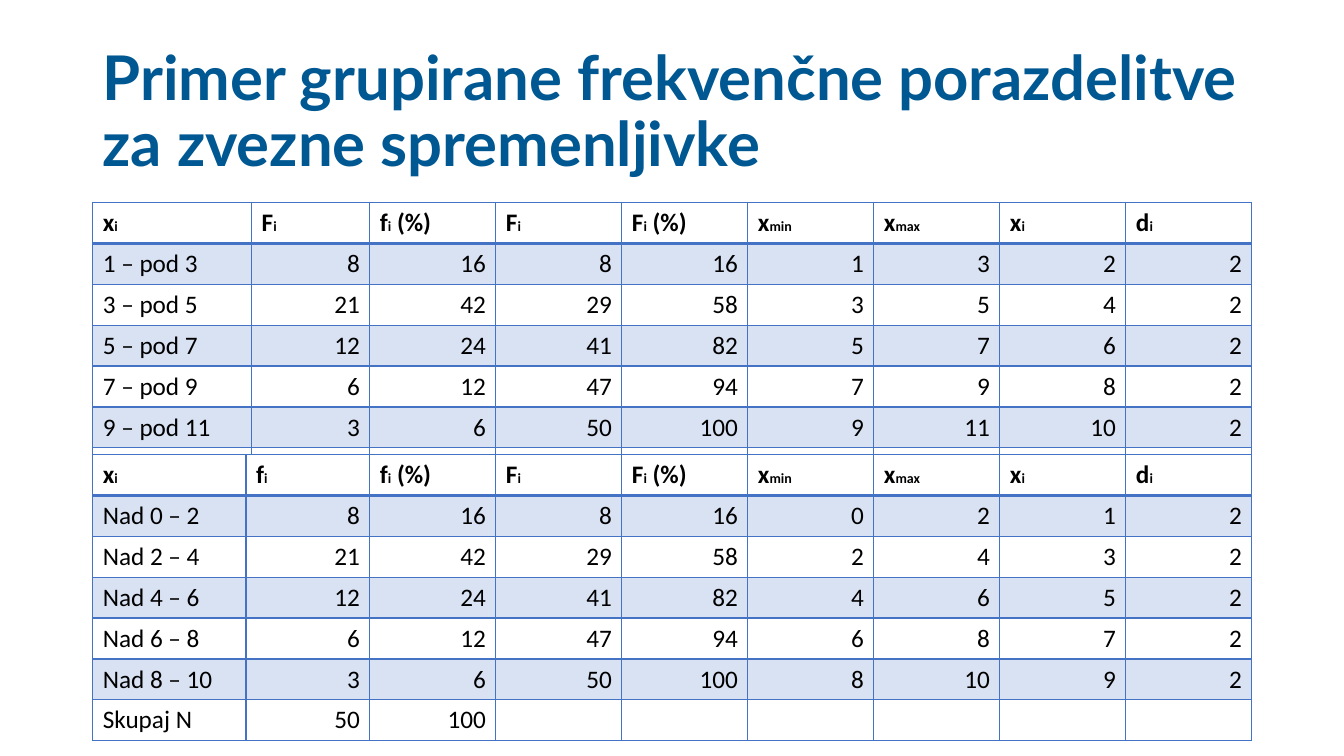
from itertools import accumulate

from lxml.etree import SubElement
from pptx import Presentation
from pptx.dml.color import RGBColor
from pptx.enum.text import MSO_ANCHOR, PP_ALIGN
from pptx.oxml.ns import qn
from pptx.util import Pt

TITLE = "Primer grupirane frekvenčne porazdelitve za zvezne spremenljivke"
LEFT, WIDTH = 66.24, 828
ROW_HEIGHT = 29.2
COUNTS = [8, 21, 12, 6, 3]
CLASS_WIDTH = 2

BLUE = "4472C4"
WHITE = "FFFFFF"
TITLE_FONT = {"name": "Lato", "size": Pt(44), "bold": True}
BODY_FONT = {"name": "Calibri", "size": Pt(18), "bold": False}
HEAD_FONT = {**BODY_FONT, "bold": True}
INDEX_FONT = {**HEAD_FONT, "size": Pt(10)}


def color(value):
    return RGBColor.from_string(value)


def add_run(paragraph, text, font_format, font_color="000000"):
    run = paragraph.add_run()
    run.text = text
    for name, value in font_format.items():
        setattr(run.font, name, value)
    run.font.color.rgb = color(font_color)


def add_title(slide):
    shape = slide.shapes.add_textbox(Pt(LEFT), Pt(28.8), Pt(WIDTH), Pt(104.4))
    frame = shape.text_frame
    frame.word_wrap = True
    frame.vertical_anchor = MSO_ANCHOR.MIDDLE
    paragraph = frame.paragraphs[0]
    paragraph.line_spacing = 0.9
    add_run(paragraph, TITLE, TITLE_FONT, "005892")


def set_borders(cell, top=1, bottom=1):
    properties = cell._tc.get_or_add_tcPr()
    widths = {"a:lnL": 1, "a:lnR": 1, "a:lnT": top, "a:lnB": bottom}
    for tag, width in widths.items():
        line = SubElement(properties, qn(tag), w=str(Pt(width)))
        fill = SubElement(line, qn("a:solidFill"))
        SubElement(fill, qn("a:srgbClr"), val=BLUE)


def set_fill(cell, value=None, opacity=100):
    if value is None:
        cell.fill.background()
        return
    cell.fill.solid()
    cell.fill.fore_color.rgb = color(value)
    if opacity < 100:
        # The direct child is the cell fill; the borders hold their own fills
        fill = cell._tc.tcPr.find(qn("a:solidFill"))
        rgb = fill.find(qn("a:srgbClr"))
        SubElement(rgb, qn("a:alpha"), val=str(opacity * 1000))


def write_heading(cell, symbol, index, unit=""):
    paragraph = cell.text_frame.paragraphs[0]
    add_run(paragraph, symbol, HEAD_FONT)
    add_run(paragraph, index, INDEX_FONT)
    if unit:
        add_run(paragraph, unit, HEAD_FONT)


def write_value(cell, value, column):
    paragraph = cell.text_frame.paragraphs[0]
    if column:
        paragraph.alignment = PP_ALIGN.RIGHT
    add_run(paragraph, str(value), BODY_FONT)


def frequency_rows(label, start):
    """Class label, counts, shares, cumulative values, limits, middle, width."""
    total = sum(COUNTS)
    rows = []
    for number, (count, running) in enumerate(zip(COUNTS, accumulate(COUNTS))):
        low = start + number * CLASS_WIDTH
        high = low + CLASS_WIDTH
        rows.append([label.format(low, high),
                     count, count * 100 // total,
                     running, running * 100 // total,
                     low, high, (low + high) // 2, CLASS_WIDTH])
    return rows


def add_frequency_table(slide, top, first_widths, count_symbol, rows, plain_fill):
    headings = [("x", "i"), (count_symbol, "i"), ("f", "i", " (%)"),
                ("F", "i"), ("F", "i", " (%)"), ("x", "min"),
                ("x", "max"), ("x", "i"), ("d", "i")]
    row_count = len(rows) + 1
    table = slide.shapes.add_table(
        row_count, len(headings), Pt(LEFT), Pt(top),
        Pt(WIDTH), Pt(row_count * ROW_HEIGHT)).table
    table.first_row = table.horz_banding = False

    # Grid
    for column, width in zip(table.columns, first_widths + [90] * 7):
        column.width = Pt(width)
    for row in table.rows:
        row.height = Pt(ROW_HEIGHT)

    # Borders and bands
    for row_number, row in enumerate(table.rows):
        for cell in row.cells:
            set_borders(cell, top=2 if row_number == 1 else 1,
                        bottom=2 if row_number == 0 else 1)
            if row_number % 2:
                set_fill(cell, BLUE, 20)
            elif row_number in (0, row_count - 1):
                set_fill(cell, plain_fill)
            else:
                set_fill(cell)

    # Wording and values
    for column, heading in enumerate(headings):
        write_heading(table.cell(0, column), *heading)
    for row_number, values in enumerate(rows, start=1):
        for column, value in enumerate(values):
            write_value(table.cell(row_number, column), value, column)


def main():
    presentation = Presentation()
    presentation.slide_width = Pt(960)
    presentation.slide_height = Pt(540)
    slide = presentation.slides.add_slide(presentation.slide_layouts[6])

    add_title(slide)
    # Classes closed below, ending in an empty row
    add_frequency_table(slide, 144.72, [113.5, 84.5], "F",
                        frequency_rows("{} – pod {}", 1) + [[]], None)
    # Classes closed above, ending in the totals
    totals = ["Skupaj N", sum(COUNTS), 100]
    add_frequency_table(slide, 324.72, [109.5, 88.5], "f",
                        frequency_rows("Nad {} – {}", 0) + [totals], WHITE)

    presentation.save("out.pptx")


if __name__ == "__main__":
    main()
